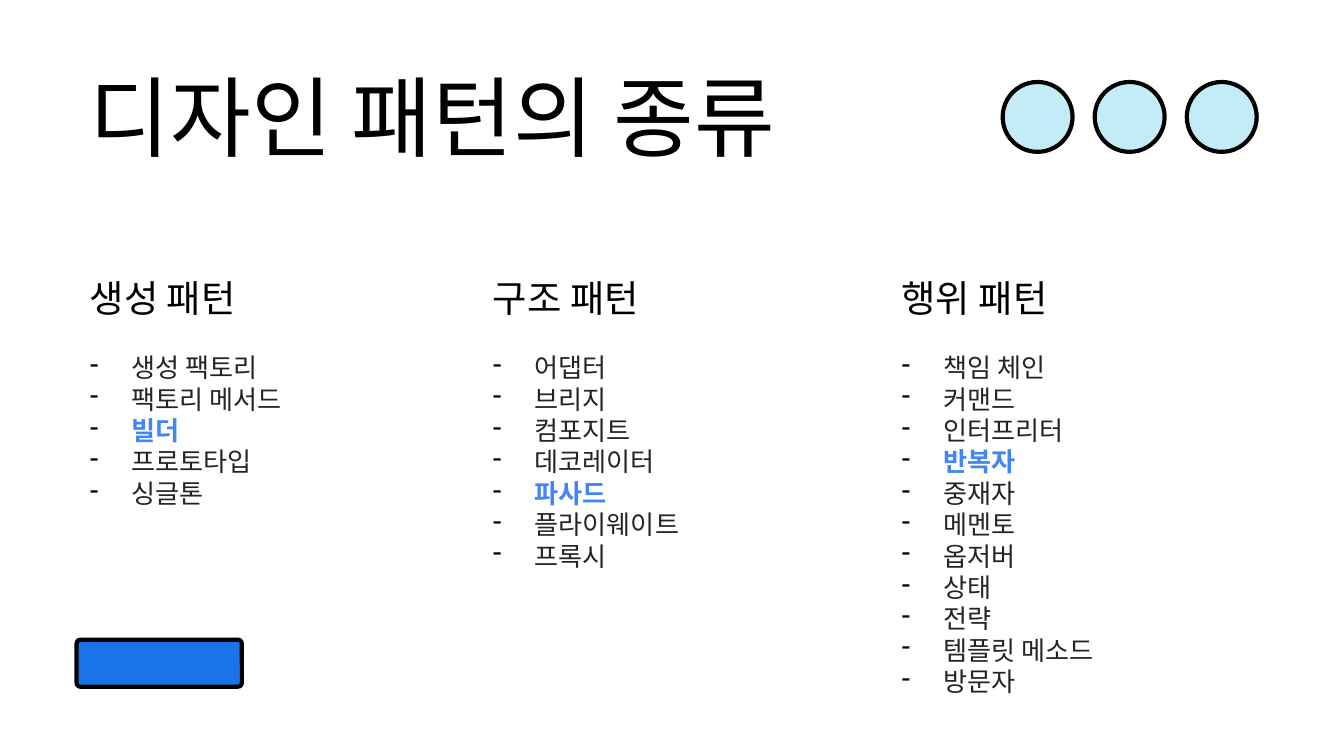
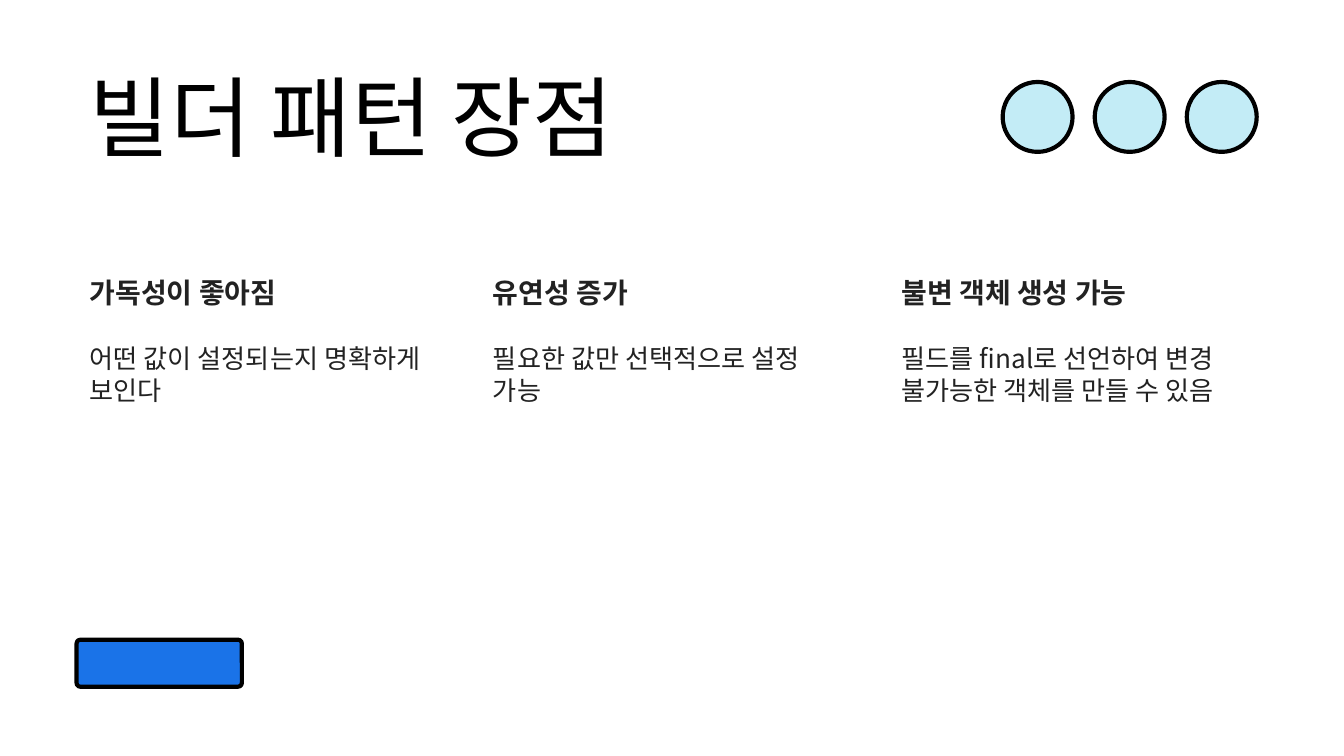
from lxml import etree
from pptx import Presentation
from pptx import util as u
from pptx.dml.color import RGBColor
from pptx.enum import shapes, text
from pptx.oxml.ns import qn

W = 10
H = W * 9 / 16
FONT = "Noto Sans CJK KR"
BLACK, INK, GREY = "000000", "212529", "222222"
ACCENT, SKY, BLUE = "4285F4", "C3ECF6", "1A73E8"
LINE_HEIGHT = 1.2
COLUMN_LEFTS = (0.57, 3.57, 6.61)
COLUMN_TOP, COLUMN_WIDTH = 1.95, 2.86

PATTERNS = [
    ("생성 패턴", ["생성 팩토리", "팩토리 메서드", "빌더", "프로토타입", "싱글톤"], 2.42),
    ("구조 패턴", ["어댑터", "브리지", "컴포지트", "데코레이터", "파사드",
               "플라이웨이트", "프록시"], 2.42),
    ("행위 패턴", ["책임 체인", "커맨드", "인터프리터", "반복자", "중재자", "메멘토",
               "옵저버", "상태", "전략", "템플릿 메소드", "방문자"], 3.37),
]
HIGHLIGHTS = {"빌더", "파사드", "반복자"}
BENEFITS = [
    ("가독성이 좋아짐", "어떤 값이 설정되는지 명확하게 보인다"),
    ("유연성 증가", "필요한 값만 선택적으로 설정 가능"),
    ("불변 객체 생성 가능", "필드를 final로 선언하여 변경 불가능한 객체를 만들 수 있음"),
]


def rgb(value):
    """Turn a hex string into a colour."""
    return RGBColor.from_string(value)


def text_box(s, x, y, w, h):
    """Add an empty wrapping text box and return its frame."""
    tf = s.shapes.add_textbox(*map(u.Inches, (x, y, w, h))).text_frame
    tf.word_wrap = True
    tf.auto_size = text.MSO_AUTO_SIZE.NONE
    tf.vertical_anchor = text.MSO_ANCHOR.TOP
    tf.margin_left = tf.margin_right = u.Inches(0.1)
    tf.margin_top = tf.margin_bottom = u.Inches(0.1)
    return tf


def write(p, words, size, color, bold=False, before=0):
    """Fill a paragraph with one styled run."""
    p.text = words
    p.line_spacing = u.Pt(size * LINE_HEIGHT)
    if before:
        p.space_before = u.Pt(before)
    for r in p.runs:
        r.font.size, r.font.bold, r.font.name = u.Pt(size), bold, FONT
        r.font.color.rgb = rgb(color)
        etree.SubElement(r.font._element, qn("a:ea"), typeface=FONT)


def dash_bullet(p):
    """Give a paragraph a hanging black dash."""
    p.level = 3
    pPr = p._p.get_or_add_pPr()
    indent = u.Inches(0.31)
    pPr.set("marL", str(indent))
    pPr.set("indent", str(-indent))
    clr = etree.SubElement(pPr, qn("a:buClr"))
    etree.SubElement(clr, qn("a:srgbClr"), val=BLACK)
    etree.SubElement(pPr, qn("a:buChar"), char="-")


def outlined(parent, kind, x, y, w, h, fill):
    """Add a filled shape with the shared black outline."""
    sp = parent.shapes.add_shape(kind, *map(u.Inches, (x, y, w, h)))
    sp.shadow.inherit = False
    sp.fill.solid()
    sp.fill.fore_color.rgb = rgb(fill)
    sp.line.color.rgb = rgb(BLACK)
    sp.line.width = u.Pt(2.25)
    return sp


def circles(s, x, y, size, span):
    """Group three circles evenly spaced over a span."""
    group = s.shapes.add_group_shape()
    pitch = (span - size) / 2
    for i in reversed(range(3)):
        sp = outlined(group, shapes.MSO_SHAPE.OVAL, x + i * pitch, y, size, size, SKY)
        sp.rotation = 90


def base_slide(prs, title):
    """Add a slide with the title, circles and blue bar."""
    s = prs.slides.add_slide(prs.slide_layouts[6])
    s.background.fill.solid()
    s.background.fill.fore_color.rgb = rgb("FFFFFF")
    tf = text_box(s, 0.57, 0.37, 7.07, 0.99)
    write(tf.paragraphs[0], title, 47, BLACK)
    circles(s, 7.46, 0.61, 0.52, 1.89)
    bar = outlined(s, shapes.MSO_SHAPE.ROUNDED_RECTANGLE, 0.57, 4.76, 1.23, 0.35, BLUE)
    bar.adjustments[0] = 0.08
    return s


def pattern_column(s, x, heading, items, height):
    """Add a heading with its dashed list."""
    tf = text_box(s, x, COLUMN_TOP, COLUMN_WIDTH, height)
    write(tf.paragraphs[0], heading, 20, BLACK)
    for i, item in enumerate(items):
        p = tf.add_paragraph()
        dash_bullet(p)
        marked = item in HIGHLIGHTS
        write(p, item, 14, ACCENT if marked else INK, marked,
              before=0 if i else 14 * LINE_HEIGHT)


def benefit_column(s, x, heading, body):
    """Add a bold heading with its explanation."""
    tf = text_box(s, x, COLUMN_TOP, COLUMN_WIDTH, 1.18)
    write(tf.paragraphs[0], heading, 15, GREY, True)
    write(tf.add_paragraph(), body, 14, GREY, before=15 * LINE_HEIGHT)


def columns_slide(prs, title, add_column, entries):
    """Add a slide of three columns, one per entry."""
    s = base_slide(prs, title)
    for x, entry in zip(COLUMN_LEFTS, entries):
        add_column(s, x, *entry)


def main():
    """Build and save the presentation."""
    prs = Presentation()
    prs.slide_width, prs.slide_height = u.Inches(W), u.Inches(H)
    columns_slide(prs, "디자인 패턴의 종류", pattern_column, PATTERNS)
    columns_slide(prs, "빌더 패턴 장점", benefit_column, BENEFITS)
    prs.save("out.pptx")


if __name__ == "__main__":
    main()
